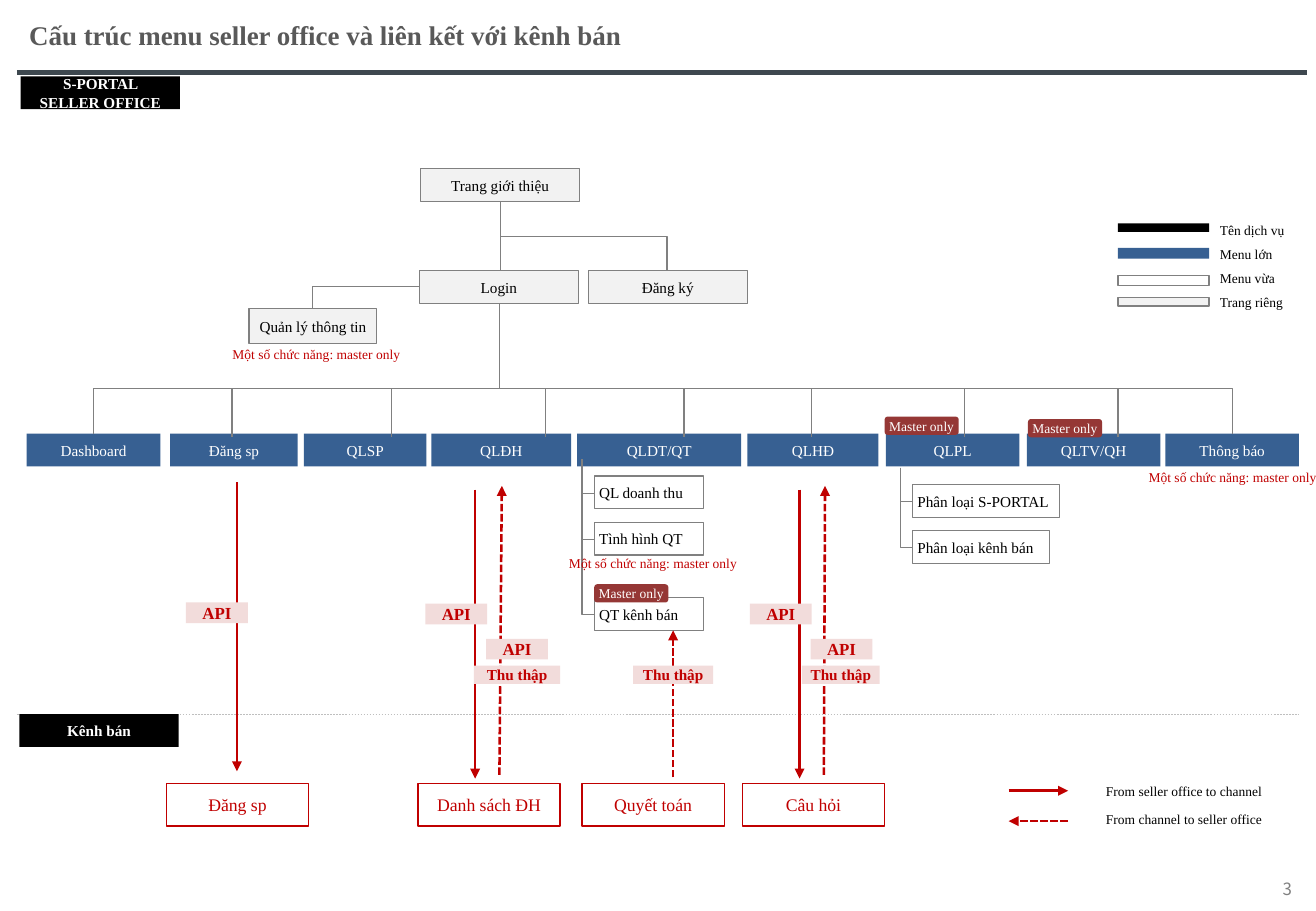
from dataclasses import dataclass

from pptx import Presentation
from pptx.dml.color import RGBColor
from pptx.enum.dml import MSO_LINE_DASH_STYLE as Dash
from pptx.enum.shapes import MSO_CONNECTOR as Connector, MSO_SHAPE as Shape
from pptx.enum.text import MSO_ANCHOR as Anchor, PP_ALIGN as Align
from pptx.oxml.ns import qn
from pptx.oxml.xmlchemy import OxmlElement
from pptx.util import Pt

PX = 9144  # 100 px to the inch


@dataclass(frozen=True)
class Theme:
    font: str = "Times New Roman"
    number_font: str = "Noto Sans CJK KR"
    black: str = "000000"
    white: str = "FFFFFF"
    title: str = "595959"
    rule: str = "3E484F"
    gray: str = "808080"
    divider: str = "BFBFBF"
    page: str = "F2F2F2"
    menu: str = "376092"
    master: str = "953735"
    red: str = "C00000"
    pink: str = "F2DCDB"
    title_size: float = 16
    channel_size: float = 10.5
    large: float = 10
    normal: float = 9
    small: float = 8


@dataclass(frozen=True)
class Style:
    ink: str
    size: float
    fill: str = None
    line: str = None
    bold: bool = False
    inset: tuple = (4, 5)
    align: Align = Align.CENTER
    anchor: Anchor = Anchor.MIDDLE
    shape: Shape = Shape.RECTANGLE
    wrap: bool = True


theme = Theme()
wide = (10, 5)
rounded = dict(shape=Shape.ROUNDED_RECTANGLE, inset=wide, wrap=False)
label = dict(fill=theme.pink, bold=True, inset=(4, 0), anchor=Anchor.TOP)
SERVICE = Style(theme.white, theme.normal, theme.black, bold=True, inset=wide)
PAGE = Style(theme.black, theme.normal, theme.page, theme.gray)
MENU = Style(theme.white, theme.normal, theme.menu)
SUBMENU = Style(theme.black, theme.normal, line=theme.gray, align=Align.LEFT)
CHANNEL = Style(theme.red, theme.channel_size, line=theme.red)
MASTER = Style(theme.white, theme.small, theme.master, **rounded)
NOTE = Style(theme.red, theme.small, **rounded)
CAPTION = Style(theme.black, theme.small, **rounded)
API = Style(theme.red, theme.large, **label)
COLLECT = Style(theme.red, theme.normal, **label)

presentation = Presentation()
presentation.slide_width, presentation.slide_height = 1083 * PX, 750 * PX
slide = presentation.slides.add_slide(presentation.slide_layouts[5])


def add_box(style, text, left, top, width, height):
    shape = slide.shapes.add_shape(style.shape, left * PX, top * PX, width * PX, height * PX)
    shape.shadow.inherit = False
    for colour, fill in ((style.fill, shape.fill), (style.line, shape.line.fill)):
        if colour:
            fill.solid()
            fill.fore_color.rgb = RGBColor.from_string(colour)
        else:
            fill.background()
    if style.line:
        shape.line.width = Pt(0.75)
    frame = shape.text_frame
    frame.word_wrap, frame.vertical_anchor = style.wrap, style.anchor
    frame.margin_left = frame.margin_right = style.inset[0] * PX
    frame.margin_top = frame.margin_bottom = style.inset[1] * PX
    if text:
        paragraph = frame.paragraphs[0]
        paragraph.text, paragraph.alignment = text, style.align
        font = paragraph.font
        font.name, font.size, font.bold = theme.font, Pt(style.size), style.bold
        font.color.rgb = RGBColor.from_string(style.ink)


def add_line(x1, y1, x2, y2, colour=theme.gray, width=0.75, dash=None, arrow=False,
             kind=Connector.STRAIGHT, preset=None, bend=None, down_first=False):
    """Draw a line or an elbow; down_first elbows leave their start downwards."""
    ends = (x1, y1, x2, y2)
    if down_first:
        middle_x, middle_y = (x1 + x2) / 2, (y1 + y2) / 2
        half_x, half_y = abs(x2 - x1) / 2, (y2 - y1) / 2
        ends = (middle_x - half_y, middle_y - half_x, middle_x + half_y, middle_y + half_x)
    connector = slide.shapes.add_connector(kind, *(round(end * PX) for end in ends))
    connector.line.color.rgb = RGBColor.from_string(colour)
    connector.line.width = Pt(width)
    if dash:
        connector.line.dash_style = dash
    properties = connector._element.spPr
    geometry = properties.find(qn("a:prstGeom"))
    if down_first:
        transform = properties.find(qn("a:xfrm"))
        transform.set("rot", str((270 if x2 > x1 else 90) * 60000))
        if x2 > x1:
            transform.set("flipH", "1")
    if preset:
        geometry.set("prst", preset)
    if bend:
        guide = OxmlElement("a:gd")
        guide.set("name", "adj1")
        guide.set("fmla", f"val {round(bend * 100000)}")
        geometry.find(qn("a:avLst")).append(guide)
    if arrow:
        tail = OxmlElement("a:tailEnd")
        tail.set("type", "triangle")
        properties.find(qn("a:ln")).append(tail)
    properties.append(OxmlElement("a:effectLst"))


# Title, rule and page number
title = slide.shapes.title
title.left, title.top, title.width, title.height = 14 * PX, 0, 870 * PX, 57 * PX
number = slide.shapes.add_textbox(820 * PX, 712 * PX, 253 * PX, 40 * PX)
for shape, text, name, size, colour, bold, align in (
    (title, "Cấu trúc menu seller office và liên kết với kênh bán",
     theme.font, theme.title_size, theme.title, True, Align.LEFT),
    (number, "3", theme.number_font, theme.large, theme.gray, False, Align.RIGHT),
):
    shape.text_frame.text = text
    shape.text_frame.word_wrap = True
    shape.text_frame.vertical_anchor = Anchor.MIDDLE
    paragraph = shape.text_frame.paragraphs[0]
    paragraph.alignment = align
    font = paragraph.font
    font.name, font.size, font.bold = name, Pt(size), bold
    font.color.rgb = RGBColor.from_string(colour)
add_line(14, 60, 1076, 60, theme.rule, 3)

# Separate pages
for text, left, top, width, height in (
    ("Trang giới thiệu", 346, 139, 131, 27), ("Login", 345, 223, 131, 27),
    ("Đăng ký", 484, 223, 131, 27), ("Quản lý thông tin", 205, 254, 105, 29),
):
    add_box(PAGE, text, left, top, width, height)
add_line(412, 166, 412, 223)
add_line(412, 166, 549, 223, kind=Connector.ELBOW, bend=0.5, down_first=True)
add_line(345, 236, 257, 254, kind=Connector.ELBOW, preset="bentConnector2")

# Main menus, fed from Login
for text, left, width in (
    ("Dashboard", 22, 110), ("Đăng sp", 140, 105), ("QLSP", 250, 101),
    ("QLĐH", 355, 115), ("QLDT/QT", 475, 135), ("QLHĐ", 615, 108),
    ("QLPL", 729, 110), ("QLTV/QH", 845, 110), ("Thông báo", 959, 110),
):
    add_box(MENU, text, left, 357, width, 27)
for x in (77, 1014):
    add_line(411, 250, x, 357, kind=Connector.ELBOW, bend=0.654, down_first=True)
for x in (191, 322, 449, 563, 668, 794, 920):
    add_line(x, 320, x, 360)

# Submenus
for text, stem, top, width, stem_top in (
    ("QL doanh thu", 479, 392, 90, 378), ("Tình hình QT", 479, 430, 90, 378),
    ("QT kênh bán", 479, 492, 90, 440),
    ("Phân loại S-PORTAL", 741, 399, 121, 385), ("Phân loại kênh bán", 741, 437, 113, 385),
):
    add_box(SUBMENU, text, stem + 10, top, width, 27)
    add_line(stem, stem_top, stem + 10, top + 14, kind=Connector.ELBOW,
             preset="bentConnector2", down_first=True)

# Access restrictions
for left, top in ((728, 343), (846, 345), (489, 481)):
    add_box(MASTER, "Master only", left, top, 61, 15)
for left, top in ((207, 284), (484, 456), (961, 385)):
    add_box(NOTE, "Một số chức năng: master only", left, top, 107, 15)

# Links between the seller office and the sales channel
add_line(14, 588, 1069, 588, theme.divider, 0.25, Dash.DASH)
for x1, y1, x2, y2, dash in (
    (195, 397, 195, 635, None), (391, 403, 391, 641, None), (658, 403, 658, 641, None),
    (411, 638, 413, 400, Dash.SQUARE_DOT), (678, 638, 679, 400, Dash.SQUARE_DOT),
    (554, 640, 554, 519, Dash.SQUARE_DOT),
    (830, 651, 879, 651, None), (879, 676, 830, 676, Dash.SQUARE_DOT),
):
    add_line(x1, y1, x2, y2, theme.red, 1.5, dash, arrow=True)
for left, top in ((153, 496), (350, 497), (400, 526), (617, 497), (667, 526)):
    add_box(API, "API", left, top, 51, 17)
for left, width in ((390, 71), (521, 66), (660, 64)):
    add_box(COLLECT, "Thu thập", left, 548, width, 15)
for text, left in (("Đăng sp", 137), ("Danh sách ĐH", 344), ("Quyết toán", 479), ("Câu hỏi", 611)):
    add_box(CHANNEL, text, left, 645, 117, 35)
for text, left, top in (("S-PORTAL SELLER OFFICE", 17, 63), ("Kênh bán", 16, 588)):
    add_box(SERVICE, text, left, top, 131, 27)

# Legends
for text, top in (("From seller office to channel", 645), ("From channel to seller office", 668)):
    add_box(CAPTION, text, 920, top, 109, 13)
for style, top, height in ((SERVICE, 184, 7), (MENU, 204, 9), (SUBMENU, 227, 8), (PAGE, 245, 7)):
    add_box(style, "", 920, top, 75, height)
legend = slide.shapes.add_textbox(994 * PX, 171 * PX, 74 * PX, 91 * PX).text_frame
legend.word_wrap = False
legend.text = "Tên dịch vụ\nMenu lớn\nMenu vừa\nTrang riêng"
for paragraph in legend.paragraphs:
    paragraph.line_spacing = 1.5
    paragraph.font.name, paragraph.font.size = theme.font, Pt(theme.small)
    paragraph.font.color.rgb = RGBColor.from_string(theme.black)

presentation.save("out.pptx")
